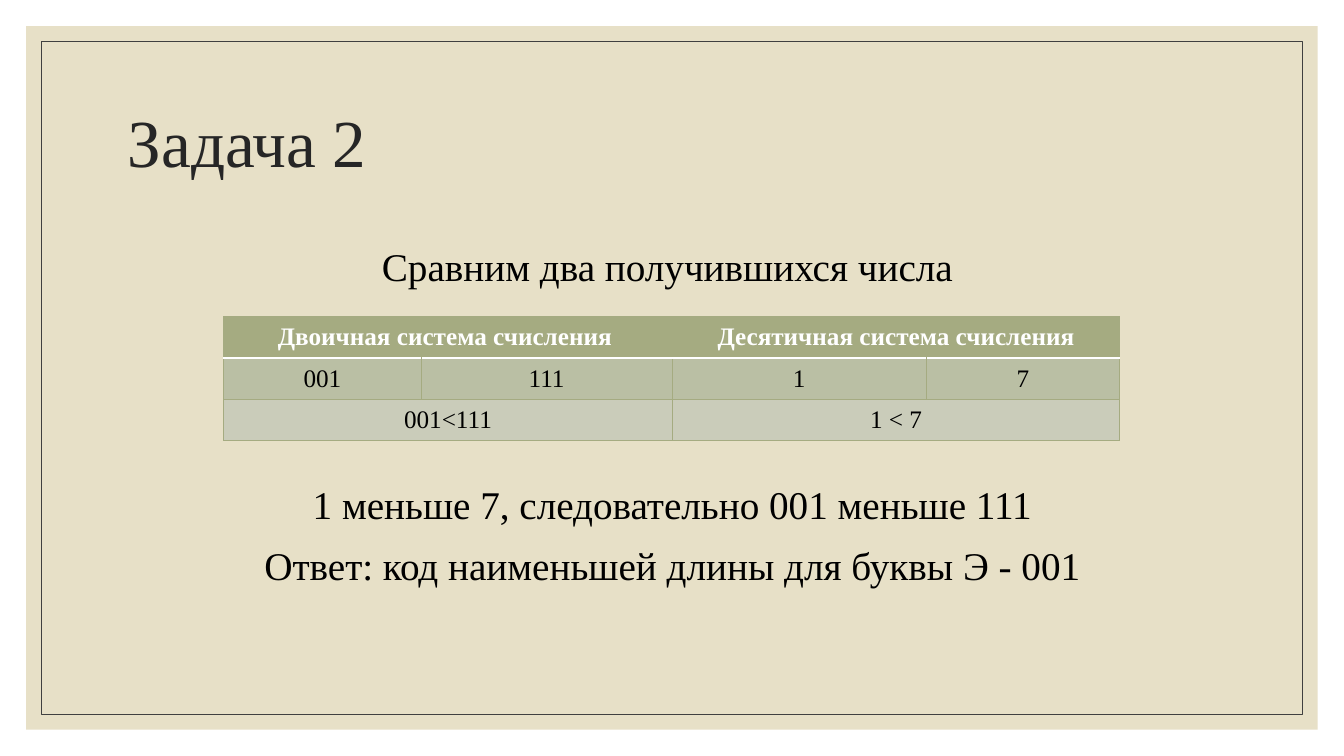
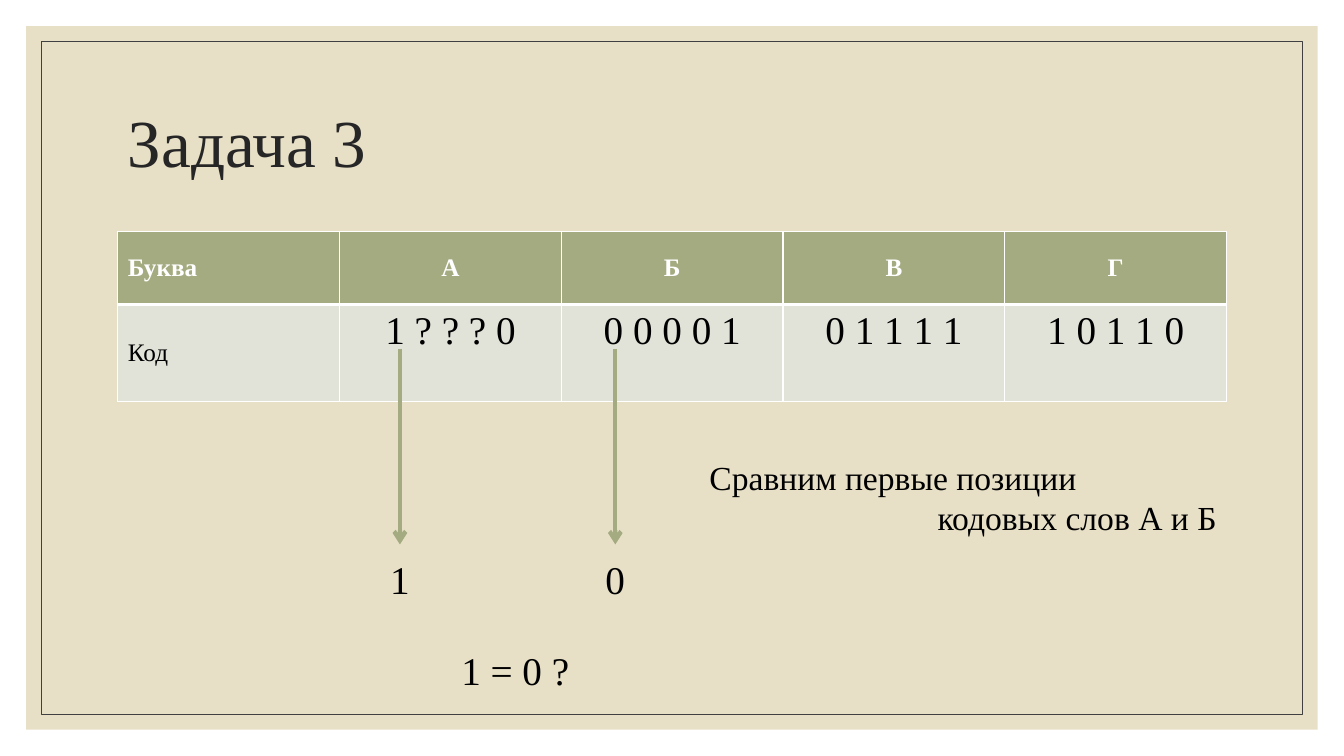
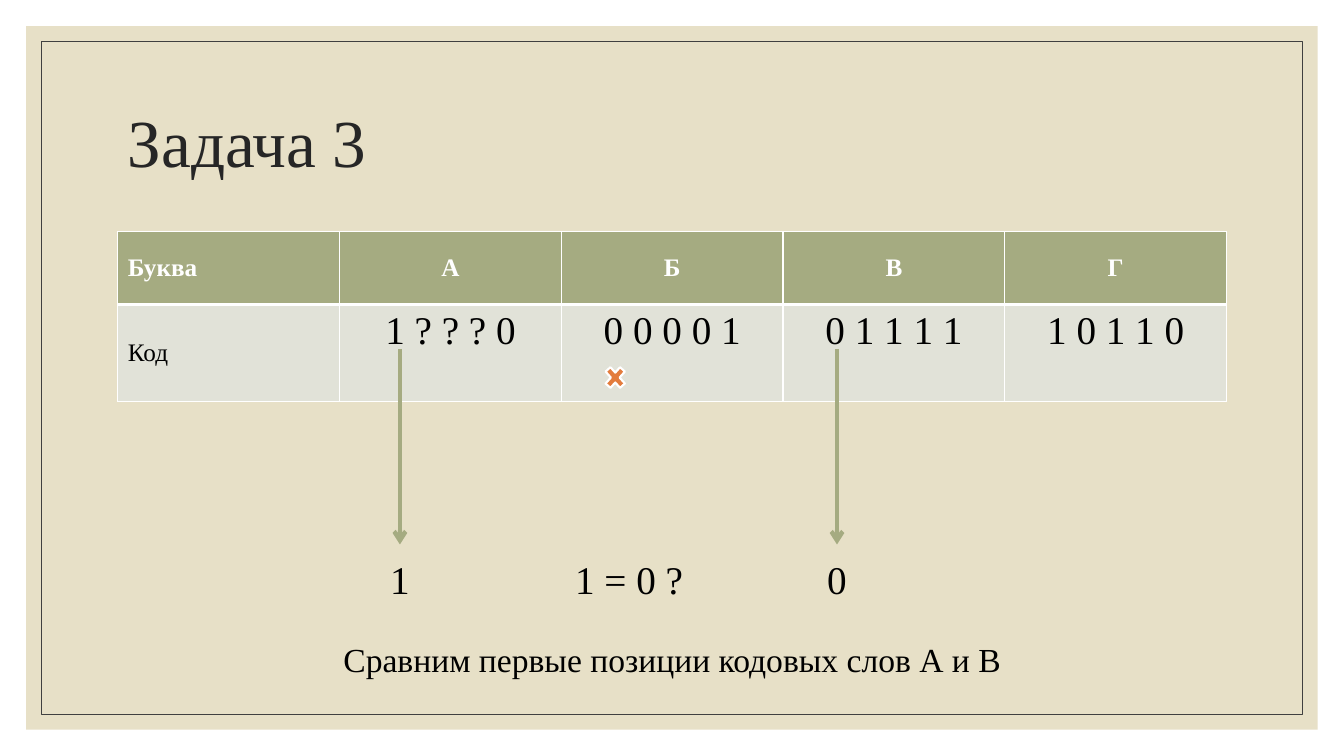
from lxml import etree
from pptx import Presentation
from pptx.dml.color import RGBColor
from pptx.enum.shapes import MSO_CONNECTOR, MSO_SHAPE
from pptx.enum.text import MSO_ANCHOR, PP_ALIGN
from pptx.oxml.ns import qn
from pptx.util import Cm, Pt

RECT, CROSS = MSO_SHAPE.RECTANGLE, MSO_SHAPE.MATH_MULTIPLY
STRAIGHT = MSO_CONNECTOR.STRAIGHT
LEFT, CENTER, RIGHT = PP_ALIGN.LEFT, PP_ALIGN.CENTER, PP_ALIGN.RIGHT
TOP, MIDDLE = MSO_ANCHOR.TOP, MSO_ANCHOR.MIDDLE

WHITE = RGBColor(0xFF, 0xFF, 0xFF)
BLACK = RGBColor(0x00, 0x00, 0x00)
INK = RGBColor(0x26, 0x26, 0x26)
FRAME = RGBColor(0x40, 0x40, 0x40)
SAND = RGBColor(0xE7, 0xE0, 0xC7)
OLIVE = RGBColor(0xA5, 0xAB, 0x81)
OLIVE_MID = RGBColor(0xBA, 0xBF, 0xA4)
OLIVE_LIGHT = RGBColor(0xCA, 0xCC, 0xBA)
OLIVE_PALE = RGBColor(0xE1, 0xE2, 0xD8)
ORANGE = RGBColor(0xE3, 0x7C, 0x3D)

FONT = "Times New Roman"
SLIDE_W, SLIDE_H = 33.87, 19.05
MARGIN, CONTENT_W = 2.97, 27.94
CODE_TOP, CODE_COL = 5.84, CONTENT_W / 5
FIRST_DIGIT = {"А": MARGIN + CODE_COL + 1.52,
               "Б": MARGIN + 2 * CODE_COL + 1.36,
               "В": MARGIN + 3 * CODE_COL + 1.36}


def write(p, text, size=28, color=BLACK, bold=False, align=LEFT):
    """Put one formatted run into a paragraph."""
    p.alignment = align
    r = p.add_run()
    r.text = text
    r.font.name, r.font.size, r.font.bold = FONT, Pt(size), bold
    r.font.color.rgb = color


def add_text(s, box, text, anchor=TOP, **fmt):
    """Add a wrapping text box with one line of text and return its frame."""
    tf = s.shapes.add_textbox(*map(Cm, box)).text_frame
    tf.word_wrap = True
    tf.vertical_anchor = anchor
    write(tf.paragraphs[0], text, **fmt)
    return tf


def add_line(tf, text, space=0, **fmt):
    """Add a further paragraph to a text frame."""
    p = tf.add_paragraph()
    p.space_before = Pt(space)
    write(p, text, **fmt)


def add_shape(s, kind, box, fill=None, line=None, width=0):
    """Add a flat preset shape with optional fill and outline."""
    sp = s.shapes.add_shape(kind, *map(Cm, box))
    sp.shadow.inherit = False
    if fill is None:
        sp.fill.background()
    else:
        sp.fill.solid()
        sp.fill.fore_color.rgb = fill
    if line is None:
        sp.line.fill.background()
    else:
        sp.line.color.rgb = line
        sp.line.width = Pt(width)


def add_arrow(s, x, top, bottom):
    """Add a vertical arrow pointing down."""
    c = s.shapes.add_connector(STRAIGHT, Cm(x), Cm(top), Cm(x), Cm(bottom))
    c.line.color.rgb = OLIVE
    c.line.width = Pt(3)
    etree.SubElement(c.line._get_or_add_ln(), qn("a:tailEnd"), type="arrow")
    etree.SubElement(c._element.spPr, qn("a:effectLst"))


def set_borders(cell, sides):
    """Draw the cell borders given as tag: (colour, points)."""
    tcPr = cell._tc.get_or_add_tcPr()
    for tag, (color, width) in sides.items():
        ln = etree.SubElement(tcPr, qn("a:" + tag), w=str(Pt(width)))
        fill = etree.SubElement(ln, qn("a:solidFill"))
        etree.SubElement(fill, qn("a:srgbClr"), val=str(color))


def add_grid(s, left, top, cols, heights, fills, side, edges):
    """Add a table with a fill per row, one side border and row edges."""
    frame = s.shapes.add_table(len(heights), len(cols), Cm(left), Cm(top),
                               Cm(sum(cols)), Cm(sum(heights)))
    table = frame.table
    table.horz_banding = False
    for col, width in zip(table.columns, cols):
        col.width = Cm(width)
    for i, row in enumerate(table.rows):
        row.height = Cm(heights[i])
        for cell in row.cells:
            set_borders(cell, {"lnL": side, "lnR": side,
                               "lnT": edges[i], "lnB": edges[i + 1]})
            cell.fill.solid()
            cell.fill.fore_color.rgb = fills[i]
            cell.vertical_anchor = MIDDLE
    return table


def fill_cell(cell, text, **fmt):
    """Write text into a table cell."""
    write(cell.text_frame.paragraphs[0], text, **fmt)


def add_base(prs, title):
    """Add a slide with the sand band, thin frame and title."""
    s = prs.slides.add_slide(prs.slide_layouts[6])
    for inset, look in ((0.66, {"fill": SAND}),
                        (1.04, {"line": FRAME, "width": 0.5})):
        add_shape(s, RECT, (inset, inset, SLIDE_W - 2 * inset,
                            SLIDE_H - 2 * inset), **look)
    tf = add_text(s, (MARGIN, 1.78, CONTENT_W, 3.81), title, MIDDLE,
                  size=48, color=INK)
    tf.paragraphs[0].line_spacing = 0.9
    return s


def add_comparison_table(s, left, top):
    """Add the table comparing binary and decimal numbers."""
    thin = (OLIVE, 0.5)
    table = add_grid(s, left, top, (4.97, 6.33, 6.4, 4.88), (1.04,) * 3,
                     (OLIVE, OLIVE_MID, OLIVE_LIGHT), thin,
                     (thin, (WHITE, 1), thin, thin))
    for i in (0, 2):
        for j in (0, 2):
            table.cell(i, j).merge(table.cell(i, j + 1))
    heads = ("Двоичная система счисления ", "Десятичная система счисления")
    for j, text in enumerate(heads):
        fill_cell(table.cell(0, 2 * j), text, size=18, color=WHITE,
                  bold=True, align=CENTER)
    for j, text in enumerate(("001", "111", "1", "7")):
        fill_cell(table.cell(1, j), text, size=18, align=CENTER)
    for j, text in enumerate(("001<111", "1 < 7")):
        fill_cell(table.cell(2, 2 * j), text, size=18, align=CENTER)


def add_code_table(s, left, top):
    """Add the table of letters and their codes."""
    thin = (WHITE, 1)
    table = add_grid(s, left, top, (CODE_COL,) * 5, (1.83, 2.44),
                     (OLIVE, OLIVE_PALE), thin, (thin, (WHITE, 3), thin))
    fill_cell(table.cell(0, 0), "Буква", size=18, color=WHITE, bold=True)
    fill_cell(table.cell(1, 0), "Код", size=18)
    codes = {"А": "1 ? ? ? 0", "Б": "0 0 0 0 1",
             "В": "0 1 1 1 1", "Г": "1 0 1 1 0"}
    for j, (letter, code) in enumerate(codes.items(), 1):
        fill_cell(table.cell(0, j), letter, size=18, color=WHITE,
                  bold=True, align=CENTER)
        fill_cell(table.cell(1, j), code, align=CENTER)
        table.cell(1, j).vertical_anchor = TOP


def add_pointer(s, letter, digit):
    """Add an arrow from the first digit of a code down to its copy."""
    x = FIRST_DIGIT[letter]
    add_arrow(s, x, CODE_TOP + 2.95, CODE_TOP + 7.88)
    add_text(s, (x - 1, CODE_TOP + 8.02, 2, 1.45), digit, align=CENTER)


def add_code_slide(prs, other):
    """Add a slide comparing the first digit of А with another letter."""
    s = add_base(prs, "Задача 3")
    add_code_table(s, MARGIN, CODE_TOP)
    add_pointer(s, "А", "1")
    add_pointer(s, other, "0")
    return s


def add_question(s, left, top):
    """Add the question whether the digits are equal."""
    add_text(s, (left, top, 6.71, 1.45), "1 = 0 ?", align=CENTER)


def build_answer(prs):
    """Build the slide with the answer to task 2."""
    s = add_base(prs, "Задача 2")
    add_text(s, (MARGIN, 5.97, CONTENT_W, 1.45),
             "Сравним два получившихся числа ", align=CENTER)
    add_comparison_table(s, 5.64, 7.98)
    tf = add_text(s, (MARGIN, 11.97, CONTENT_W, 3),
                  "1 меньше 7, следовательно 001 меньше 111", align=CENTER)
    add_line(tf, "Ответ: код наименьшей длины для буквы Э - 001",
             space=10.5, align=CENTER)


def build_first_pair(prs):
    """Build the slide comparing А and Б."""
    s = add_code_slide(prs, "Б")
    tf = add_text(s, (17.63, 11.38, 13.28, 2.31), "Сравним первые позиции",
                  size=24)
    add_line(tf, "кодовых слов А и Б", size=24, align=RIGHT)
    add_question(s, 9.63, 16.15)


def build_second_pair(prs):
    """Build the slide comparing А and В, with Б crossed out."""
    s = add_code_slide(prs, "В")
    add_shape(s, CROSS, (FIRST_DIGIT["Б"] - 0.35, CODE_TOP + 3.28, 0.7, 0.79),
              fill=ORANGE, line=WHITE, width=1.5)
    add_question(s, 12.5, CODE_TOP + 8.02)
    add_text(s, (MARGIN, 15.98, CONTENT_W, 1.27),
             "Сравним первые позиции кодовых слов А и В", size=24,
             align=CENTER)


def main():
    """Build and save the presentation."""
    prs = Presentation()
    prs.slide_width, prs.slide_height = Cm(SLIDE_W), Cm(SLIDE_H)
    build_answer(prs)
    build_first_pair(prs)
    build_second_pair(prs)
    prs.save("out.pptx")


if __name__ == "__main__":
    main()
